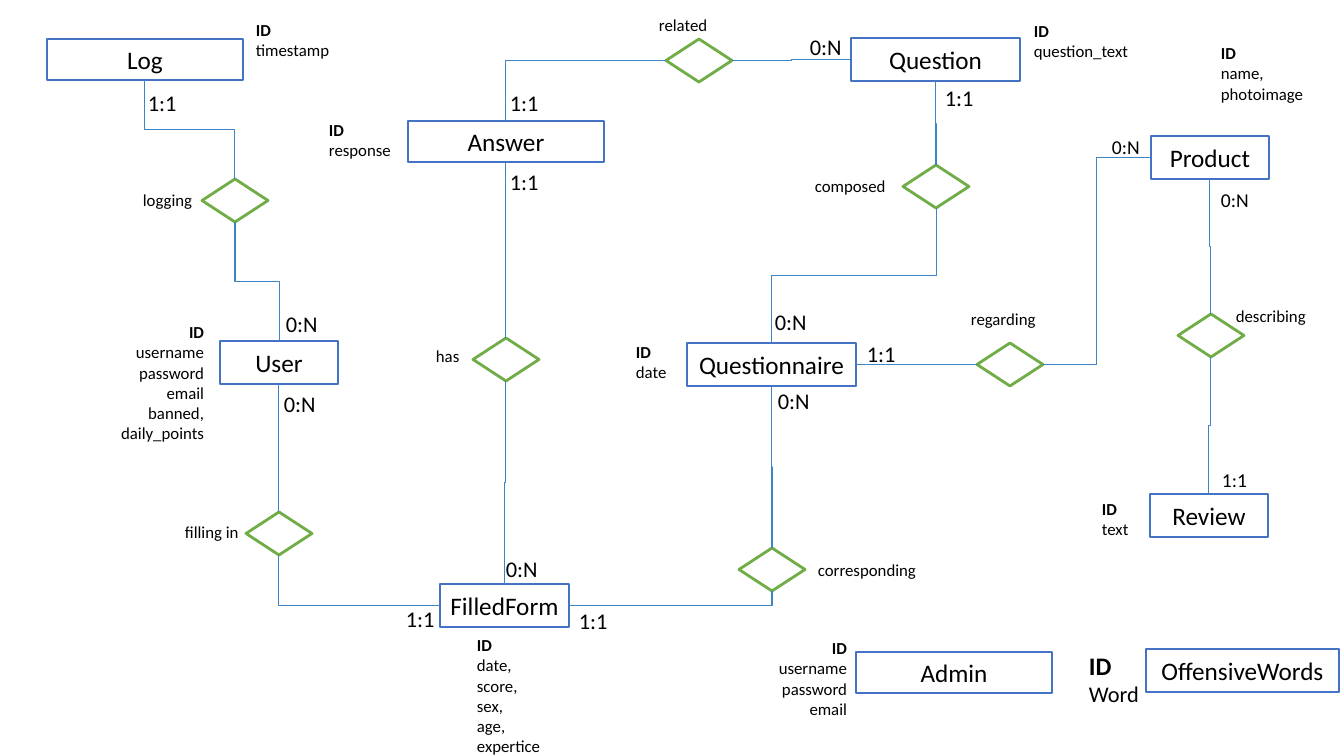
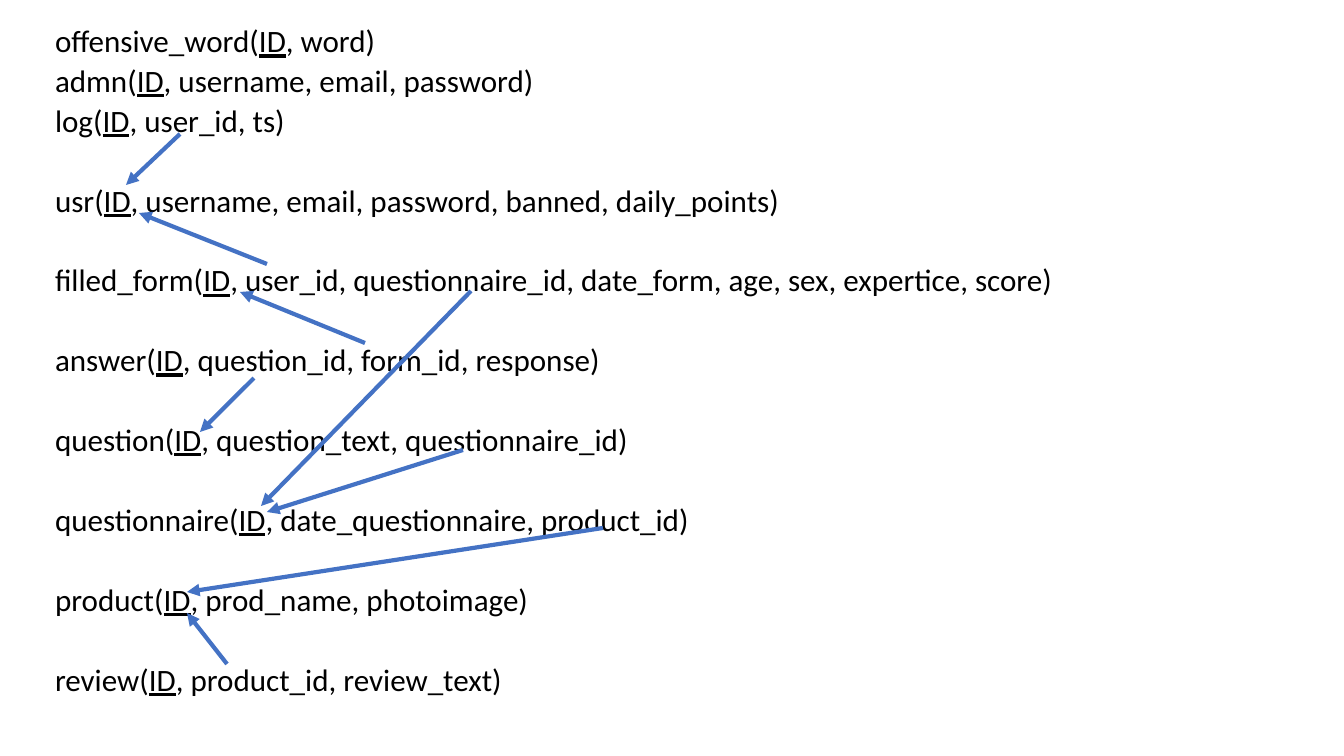
from lxml.etree import SubElement
from pptx import Presentation
from pptx.dml.color import RGBColor
from pptx.enum.shapes import MSO_CONNECTOR as CONNECTOR, MSO_SHAPE as SHAPE
from pptx.enum.text import MSO_ANCHOR as ANCHOR, PP_ALIGN as ALIGN
from pptx.oxml.ns import qn
from pptx.util import Emu, Pt

COLORS = {"text": "000000", "fill": "FFFFFF", "entity": "4472C4",
          "relation": "70AD47", "link": "3D85C6"}
FONT = "Calibri"
PIXEL = 914400 / 100.8
TOP, LEFT, BOTTOM, RIGHT = range(4)  # connection sites


def px(*values):
    return [Emu(round(value * PIXEL)) for value in values]


def write(shape, lines, size, align=ALIGN.LEFT, bold_first=False):
    """Fill a shape with one paragraph per line."""
    frame = shape.text_frame
    frame.word_wrap = True
    frame.text = "\n".join(lines)
    for index, paragraph in enumerate(frame.paragraphs):
        paragraph.alignment = align
        font = paragraph.font
        font.name, font.size = FONT, Pt(size)
        font.bold = bold_first and index == 0
        font.color.rgb = RGBColor.from_string(COLORS["text"])


presentation = Presentation()
presentation.slide_width, presentation.slide_height = px(1344, 756)
blank = presentation.slide_layouts[6]

# Slide 1: entity-relationship diagram
slide = presentation.slides.add_slide(blank)

entities = [  # name, left, top, width, height
    ("Log", 47, 39, 196, 41),
    ("Answer", 408, 121, 196, 41),
    ("Admin", 856, 652, 196, 41),
    ("Question", 851, 38, 169, 43),
    ("Questionnaire", 687, 343, 169, 43),
    ("User", 220, 341, 118, 43),
    ("Product", 1151, 136, 118, 43),
    ("Review", 1150, 494, 118, 43),
    ("FilledForm", 440, 584, 129, 43),
    ("OffensiveWords", 1146, 649, 193, 43),
]
relations = [  # name, diamond left and top, label left, top and width
    ("logging", 202, 179, 133, 185, 73),
    ("filling in", 246, 512, 175, 517, 98),
    ("has", 473, 338, 426, 341, 61),
    ("corresponding", 739, 548, 808, 555, 128),
    ("related", 666, 39, 649, 10, 80),
    ("composed", 903, 165, 805, 171, 107),
    ("regarding", 977, 343, 961, 304, 107),
    ("describing", 1178, 314, 1226, 301, 107),
]

# Entity boxes and relation diamonds
nodes = {}
outlines = [(SHAPE.RECTANGLE, "entity", *entity) for entity in entities]
outlines += [(SHAPE.DIAMOND, "relation", name, left, top, 66, 43)
             for name, left, top, *label in relations]
for preset, kind, name, *box in outlines:
    shape = slide.shapes.add_shape(preset, *px(*box))
    shape.shadow.inherit = False
    shape.fill.solid()
    shape.fill.fore_color.rgb = RGBColor.from_string(COLORS["fill"])
    shape.line.color.rgb = RGBColor.from_string(COLORS[kind])
    shape.line.width = Pt(2)
    if kind == "entity":
        shape.text_frame.vertical_anchor = ANCHOR.MIDDLE
        write(shape, [name], 18, ALIGN.CENTER)
    nodes[name] = shape

# Elbow links between connection sites
links = [
    ("Log", BOTTOM, "logging", TOP),
    ("logging", BOTTOM, "User", TOP),
    ("filling in", TOP, "User", BOTTOM),
    ("filling in", BOTTOM, "FilledForm", LEFT),
    ("Answer", BOTTOM, "has", TOP),
    ("has", BOTTOM, "FilledForm", TOP),
    ("related", LEFT, "Answer", TOP),
    ("Question", LEFT, "related", RIGHT),
    ("Question", BOTTOM, "composed", TOP),
    ("Questionnaire", TOP, "composed", BOTTOM),
    ("corresponding", TOP, "Questionnaire", BOTTOM),
    ("corresponding", BOTTOM, "FilledForm", RIGHT),
    ("regarding", LEFT, "Questionnaire", RIGHT),
    ("regarding", RIGHT, "Product", LEFT),
    ("describing", TOP, "Product", BOTTOM),
    ("Review", TOP, "describing", BOTTOM),
]
for start, start_site, end, end_site in links:
    link = slide.shapes.add_connector(CONNECTOR.ELBOW, 0, 0, 0, 0)
    link.begin_connect(nodes[start], start_site)
    link.end_connect(nodes[end], end_site)
    properties = link._element.spPr
    if start_site in (TOP, BOTTOM):
        # A link that leaves vertically is a horizontal one turned by 90 degrees
        middle_x = (link.begin_x + link.end_x) // 2
        middle_y = (link.begin_y + link.end_y) // 2
        half_x = (link.end_x - link.begin_x) // 2
        half_y = (link.end_y - link.begin_y) // 2
        link.begin_x, link.end_x = middle_x - half_y, middle_x + half_y
        link.begin_y, link.end_y = middle_y + half_x, middle_y - half_x
        properties.find(qn("a:xfrm")).set("rot", "5400000")
    if start_site % 2 != end_site % 2:
        properties.find(qn("a:prstGeom")).set("prst", "bentConnector2")
    link.line.color.rgb = RGBColor.from_string(COLORS["link"])
    link.line.width = Pt(0.75)
    SubElement(properties, qn("a:effectLst"))

# Relation names
for name, _, _, left, top, width in relations:
    label = slide.shapes.add_textbox(*px(left, top, width, 30))
    write(label, [name], 12)

# Attribute lists, key first
attributes = [  # left, top, width, alignment, names
    (246, 15, 96, ALIGN.LEFT, "ID timestamp"),
    (319, 115, 89, ALIGN.LEFT, "ID response"),
    (1024, 16, 127, ALIGN.LEFT, "ID question_text"),
    (1211, 38, 104, ALIGN.LEFT, "ID name, photoimage"),
    (626, 337, 73, ALIGN.LEFT, "ID date"),
    (1092, 494, 73, ALIGN.LEFT, "ID text"),
    (467, 630, 108, ALIGN.LEFT, "ID date, score, sex, age, expertice"),
    (101, 317, 113, ALIGN.RIGHT,
     "ID username password email banned, daily_points"),
    (760, 633, 97, ALIGN.RIGHT, "ID username password email"),
]
for left, top, width, align, names in attributes:
    lines = names.split()
    label = slide.shapes.add_textbox(
        *px(left, top, width, 20 * len(lines) + 6))
    write(label, lines, 12, align, bold_first=True)

word_label = slide.shapes.add_textbox(*px(1079, 645, 73, 62))
write(word_label, ["ID", "Word"], 18, bold_first=True)
word_label.text_frame.paragraphs[1].font.size = Pt(16)

# Cardinalities: size, width, height, then the places of each value
cardinalities = [
    (16, 56, 30, "0:N", [(274, 385), (768, 382), (765, 303), (496, 550),
                         (800, 28), (276, 305)]),
    (16, 56, 30, "1:1", [(396, 600), (569, 602), (857, 335), (935, 79),
                         (500, 163), (500, 84), (138, 84)]),
    (14, 62, 25, "0:N", [(1211, 183), (1102, 130)]),
    (14, 62, 25, "1:1", [(1212, 463)]),
]
for size, width, height, value, places in cardinalities:
    for left, top in places:
        label = slide.shapes.add_textbox(*px(left, top, width, height))
        write(label, [value], size)

# Slide 2: relational schema
slide = presentation.slides.add_slide(blank)
tables = [
    ("offensive_word", "word"),
    ("admn", "username, email, password"),
    ("log", "user_id, ts"),
    ("usr", "username, email, password, banned, daily_points"),
    ("filled_form", "user_id, questionnaire_id, date_form, age, sex, "
                    "expertice, score"),
    ("answer", "question_id, form_id, response"),
    ("question", "question_text, questionnaire_id"),
    ("questionnaire", "date_questionnaire, product_id"),
    ("product", "prod_name, photoimage"),
    ("review", "product_id, review_text"),
]
schema = slide.shapes.add_textbox(*px(51, 27, 1014, 729))
frame = schema.text_frame
frame.margin_left, frame.margin_right = px(4, 4)
write(schema, [f"{name}(" for name, columns in tables], 22.2)
for index, (name, columns) in enumerate(tables):
    paragraph = frame.paragraphs[index]
    paragraph.line_spacing = 0.7
    paragraph.space_before = Pt(9.7 if index < 3 else 38.4)
    key = paragraph.add_run()
    key.text = "ID"
    key.font.underline = True
    paragraph.add_run().text = f", {columns})"

# Arrows from foreign keys to primary keys
references = [
    (180, 134, 126, 185), (267, 264, 139, 213), (471, 291, 261, 506),
    (463, 450, 267, 512), (254, 378, 200, 432), (603, 528, 187, 592),
    (365, 343, 240, 292), (227, 664, 187, 613),
]
for ends in references:
    arrow = slide.shapes.add_connector(CONNECTOR.STRAIGHT, *px(*ends))
    arrow.line.color.rgb = RGBColor.from_string(COLORS["entity"])
    arrow.line.width = Pt(3)
    properties = arrow._element.spPr
    SubElement(properties.find(qn("a:ln")), qn("a:tailEnd"), type="triangle")
    SubElement(properties, qn("a:effectLst"))

presentation.save("out.pptx")
